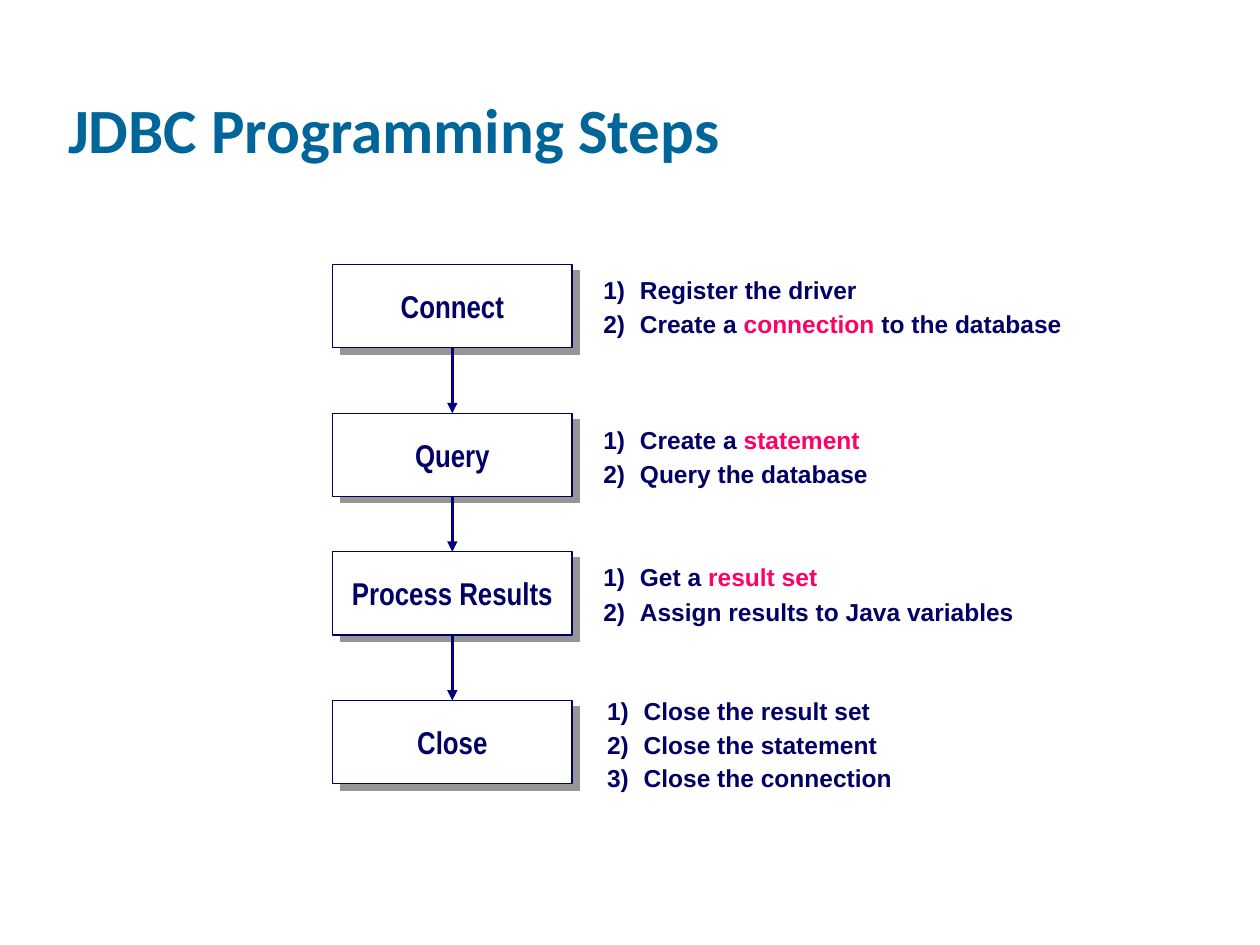
from lxml import etree
from pptx import Presentation
from pptx.dml.color import RGBColor
from pptx.enum.shapes import MSO_CONNECTOR, MSO_SHAPE
from pptx.enum.text import MSO_ANCHOR, MSO_AUTO_SIZE, PP_ALIGN
from pptx.oxml.ns import qn
from pptx.util import Inches, Pt

RECTANGLE = MSO_SHAPE.RECTANGLE
STRAIGHT = MSO_CONNECTOR.STRAIGHT
MIDDLE, BOTTOM = MSO_ANCHOR.MIDDLE, MSO_ANCHOR.BOTTOM
LEFT, CENTER = PP_ALIGN.LEFT, PP_ALIGN.CENTER
FIT_SHAPE, NO_FIT = MSO_AUTO_SIZE.SHAPE_TO_FIT_TEXT, MSO_AUTO_SIZE.NONE
TOP_SIDE, BOTTOM_SIDE = 0, 2

TEAL = RGBColor(0x00, 0x66, 0x99)
NAVY = RGBColor(0x00, 0x00, 0x66)
ARROW_BLUE = RGBColor(0x00, 0x00, 0x80)
PINK = RGBColor(0xFF, 0x00, 0x66)
GRAY = RGBColor(0x96, 0x96, 0x96)
WHITE = RGBColor(0xFF, 0xFF, 0xFF)

STEP_LEFT, STEP_WIDTH, STEP_HEIGHT = 2.64, 1.9, 0.66
SHADOW_X, SHADOW_Y = 0.06, 0.05

# Each step: label, top, position and size of its notes, note lines.
# A note line is a list of (text, colour) spans.
STEPS = [
    ("Connect", 2.1, (4.69, 2.18, 3.94, 0.55), [
        [("Register the driver", NAVY)],
        [("Create a ", NAVY), ("connection", PINK), (" to the database", NAVY)]]),
    ("Query", 3.28, (4.69, 3.37, 3.15, 0.55), [
        [("Create a ", NAVY), ("statement", PINK)],
        [("Query the database", NAVY)]]),
    ("Process Results", 4.38, (4.69, 4.46, 3.47, 0.55), [
        [("Get a ", NAVY), ("result set", PINK)],
        [("Assign results to Java variables", NAVY)]]),
    ("Close", 5.56, (4.72, 5.52, 3.47, 0.81), [
        [("Close the result set", NAVY)],
        [("Close the statement", NAVY)],
        [("Close the connection", NAVY)]]),
]


def add_span(para, text, font="Arial", size=14, color=NAVY, bold=True):
    span = para.add_run()
    span.text = text
    span.font.name = font
    span.font.size = Pt(size)
    span.font.bold = bold
    span.font.color.rgb = color


def number_paragraph(para, color):
    props = para._p.get_or_add_pPr()
    props.set("marL", str(Inches(0.29)))
    props.set("indent", str(-Inches(0.29)))
    bullet_color = etree.SubElement(props, qn("a:buClr"))
    etree.SubElement(bullet_color, qn("a:srgbClr"), val=str(color))
    etree.SubElement(props, qn("a:buAutoNum"), type="arabicParenR")


class FlowSlide:
    """Style and drawing methods for the current slide."""

    def __init__(self, deck):
        self.slide = deck.slides.add_slide(deck.slide_layouts[5])
        self.heading_font = "Calibri"
        self.step_font = "Arial Narrow"

    def title(self, text, left, top, width, height):
        box = self.slide.shapes.title
        box.left, box.top = Inches(left), Inches(top)
        box.width, box.height = Inches(width), Inches(height)
        frame = box.text_frame
        frame.vertical_anchor = BOTTOM
        frame.auto_size = NO_FIT
        para = frame.paragraphs[0]
        para.alignment = LEFT
        add_span(para, text, font=self.heading_font, size=36, color=TEAL)

    def rectangle(self, shapes, left, top, fill, line):
        box = shapes.add_shape(RECTANGLE, Inches(left), Inches(top),
                               Inches(STEP_WIDTH), Inches(STEP_HEIGHT))
        box.shadow.inherit = False
        box.fill.solid()
        box.fill.fore_color.rgb = fill
        box.line.color.rgb = line
        box.line.width = Pt(0.75)
        return box

    def step(self, label, top):
        shapes = self.slide.shapes.add_group_shape().shapes
        self.rectangle(shapes, STEP_LEFT + SHADOW_X, top + SHADOW_Y, GRAY, GRAY)
        box = self.rectangle(shapes, STEP_LEFT, top, WHITE, NAVY)
        frame = box.text_frame
        frame.word_wrap = False
        frame.vertical_anchor = MIDDLE
        para = frame.paragraphs[0]
        para.alignment = CENTER
        add_span(para, label, font=self.step_font, size=18)
        return box

    def arrow(self, upper, lower):
        line = self.slide.shapes.add_connector(STRAIGHT, 0, 0, 0, 0)
        line.begin_connect(upper, BOTTOM_SIDE)
        line.end_connect(lower, TOP_SIDE)
        line.line.color.rgb = ARROW_BLUE
        line.line.width = Pt(1.5)
        etree.SubElement(line.line._get_or_add_ln(), qn("a:tailEnd"), type="triangle")
        etree.SubElement(line._element.spPr, qn("a:effectLst"))

    def notes(self, lines, left, top, width, height):
        box = self.slide.shapes.add_textbox(Inches(left), Inches(top),
                                            Inches(width), Inches(height))
        frame = box.text_frame
        frame.word_wrap = True
        frame.auto_size = FIT_SHAPE
        for index, spans in enumerate(lines):
            para = frame.add_paragraph() if index else frame.paragraphs[0]
            number_paragraph(para, NAVY)
            para.line_spacing = 0.6 if index else 0.8
            para.space_before = Pt(8.8 if index else 0)
            for text, color in spans:
                add_span(para, text, color=color)


def main():
    deck = Presentation()
    deck.slide_width, deck.slide_height = Inches(10), Inches(7.5)
    page = FlowSlide(deck)
    page.title("JDBC Programming Steps", 0.44, 0.12, 8.5, 1.25)

    # Steps, top to bottom
    boxes = [page.step(label, top) for label, top, _, _ in STEPS]

    # Arrows between neighbouring steps
    for upper, lower in zip(boxes, boxes[1:]):
        page.arrow(upper, lower)

    # Numbered notes beside the steps
    for _, _, place, lines in STEPS:
        page.notes(lines, *place)

    deck.save("out.pptx")


if __name__ == "__main__":
    main()
